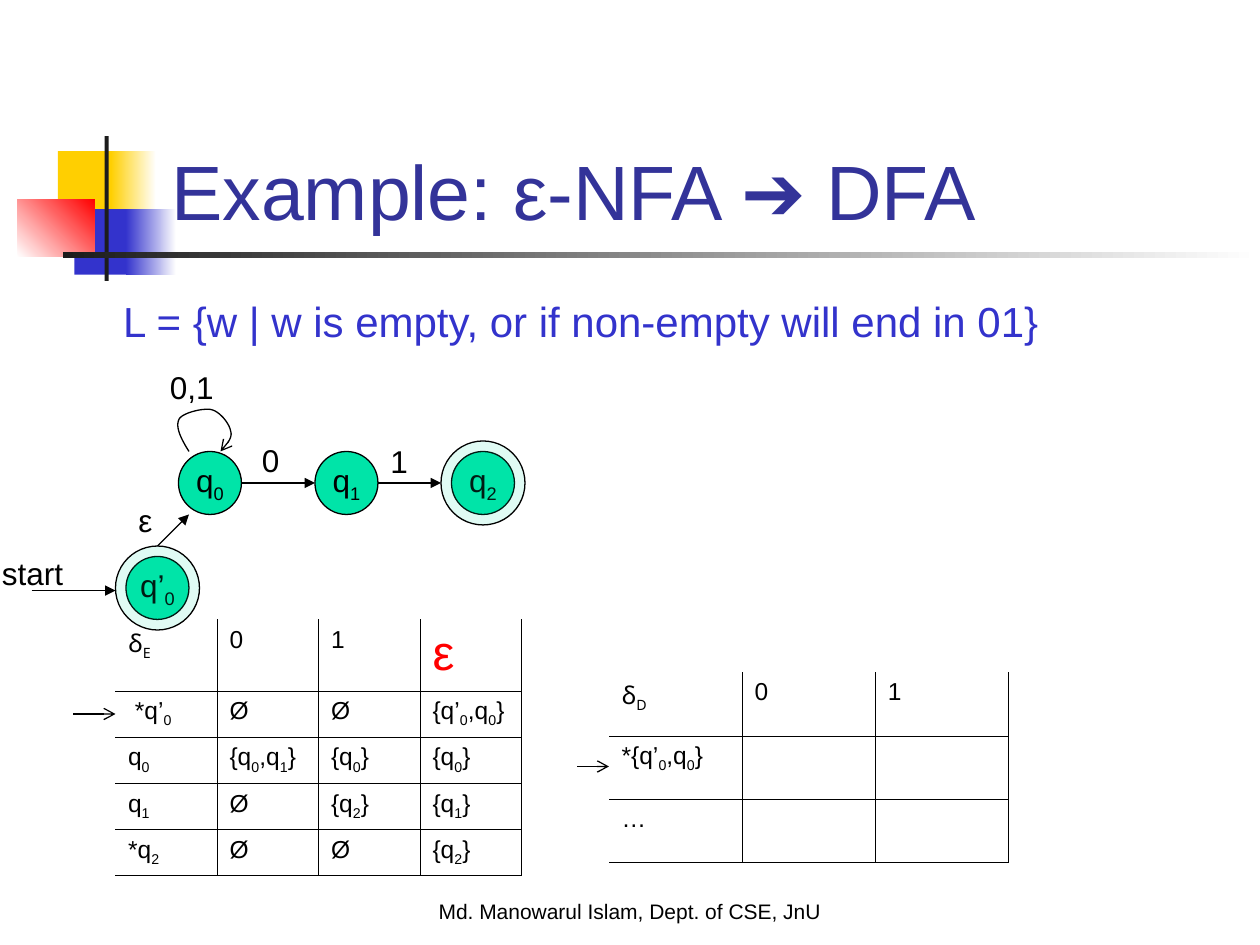
"""Build the slide that turns an ε-NFA into a DFA."""
from dataclasses import dataclass, field

import pptx
import pptx.dml.color
import pptx.enum.shapes
import pptx.enum.text
import pptx.oxml
import pptx.oxml.ns
import pptx.util

COLUMNS, ROWS = 120, 90
SLIDE_WIDTH, SLIDE_HEIGHT = pptx.util.Inches(10), pptx.util.Inches(7.5)
SHAPES = pptx.enum.shapes.MSO_SHAPE
ALIGN = pptx.enum.text.PP_ALIGN
ANCHOR = pptx.enum.text.MSO_ANCHOR


@dataclass(frozen=True)
class Theme:
    font: str = "Arial"
    symbol_font: str = "Noto Sans"
    ink: str = "000000"
    title: str = "333399"
    blue: str = "3333CC"
    yellow: str = "FFCF01"
    red: str = "FF0000"
    dark: str = "1C1C1C"
    white: str = "FFFFFF"
    state: str = "00E4A8"
    title_size: float = 44
    epsilon_size: float = 28
    language_size: float = 24
    label_size: float = 18
    cell_size: float = 14
    footer_size: float = 12
    line: float = 0.75
    thin: float = 0.45
    thick: float = 1.08
    ring_opacity: int = 12


THEME = Theme()


@dataclass(frozen=True)
class Block:
    column: float
    row: float
    width: float
    height: float
    color: str
    fade_to: str = ""
    angle: float = 0


@dataclass(frozen=True)
class State:
    name: str
    column: float
    row: float
    accepting: bool = False


@dataclass(frozen=True)
class Label:
    text: str
    column: float
    row: float
    width: float
    height: float = 4.8
    size: float = THEME.label_size
    color: str = THEME.ink
    align: ALIGN = ALIGN.LEFT


@dataclass(frozen=True)
class Arrow:
    start: tuple[float, float]
    end: tuple[float, float]
    head: str = "triangle"


@dataclass(frozen=True)
class Transitions:
    column: float
    row: float
    column_width: float
    row_heights: list[float]
    cells: list[list[str]]
    bottom_line: float
    indents: dict[tuple[int, int], float] = field(default_factory=dict)


BLOCKS = [
    Block(5.52, 14.4, 5.76, 6.24, THEME.yellow),
    Block(10.56, 14.4, 4.32, 6.24, THEME.yellow, THEME.white),
    Block(7.08, 19.92, 5.52, 6.24, THEME.blue),
    Block(12, 19.92, 4.8, 6.24, THEME.blue, THEME.white),
    Block(1.68, 18.96, 7.32, 5.52, THEME.white, THEME.red, 45),
    Block(9.96, 12.96, 0.4, 13.8, THEME.dark),
    Block(6, 24, 114, 0.6, THEME.dark, THEME.white),
]
STATES = [State("q_0", 17, 43), State("q_1", 30, 43), State("q_2", 43, 43, True), State("q’_0", 12, 53, True)]
LABELS = [
    Label("Md. Manowarul Islam, Dept. of CSE, JnU", 0, 84.96, 120, 6, THEME.footer_size, align=ALIGN.CENTER),
    Label("L = {w | w is empty, or if non-empty will end in 01}", 10.56, 27.6, 90, 6, THEME.language_size, THEME.blue),
    Label("start", -1, 52.2, 9),
    Label("0", 23.76, 41.4, 4.08),
    Label("0,1", 15, 34.44, 6.6),
    Label("1", 36, 41.52, 4.08),
    Label("ε", 12, 47.16, 3.72),
]
ARROWS = [
    Arrow((3, 56.25), (11, 56.25)),
    Arrow((23, 46), (30, 46)),
    Arrow((36, 46), (42, 46)),
    Arrow((15, 52), (18, 49)),
    Arrow((7, 68), (11, 68), "arrow"),
    Arrow((55, 73), (58, 73), "arrow"),
]
LOOP = [(18, 43), (17.28, 41.88), (16.68, 40.68), (17.04, 39.96), (17.28, 39.36), (19.2, 38.88),
        (20.04, 39), (20.88, 39.12), (21.84, 40.32), (21.96, 41.04), (22.2, 41.64), (21.6, 42.36), (21, 43)]
TABLES = [
    Transitions(11, 59, 9.67, [6.84, 4.39, 4.39, 4.39, 4.39], [
        ["δ_E", "0", "1", "ε"],
        ["*q’_0", "Ø", "Ø", "{q’_0,q_0}"],
        ["q_0", "{q_0,q_1}", "{q_0}", "{q_0}"],
        ["q_1", "Ø", "{q_2}", "{q_1}"],
        ["*q_2", "Ø", "Ø", "{q_2}"],
    ], THEME.thick, {(1, 0): 1.85}),
    Transitions(58, 64, 12.68, [6.12, 6, 6], [
        ["δ_D", "0", "1"], ["*{q’_0,q_0}", "", ""], ["…", "", ""],
    ], THEME.thin),
]


def across(columns: float) -> int:
    """Turn grid columns into a length."""
    return round(SLIDE_WIDTH * columns / COLUMNS)


def down(rows: float) -> int:
    """Turn grid rows into a length."""
    return round(SLIDE_HEIGHT * rows / ROWS)


def frame(column: float, row: float, width: float, height: float) -> tuple[int, int, int, int]:
    """Turn a grid area into left, top, width and height."""
    return across(column), down(row), across(width), down(height)


def rgb(color: str) -> pptx.dml.color.RGBColor:
    """Turn a hex string into a colour."""
    return pptx.dml.color.RGBColor.from_string(color)


def write(para, text: str, size: float, color: str = THEME.ink, font: str = THEME.font) -> None:
    """Write text run by run, lowering the letter after each underscore."""
    first, *rest = text.split("_")
    pieces = [(first, False)]
    for part in rest:
        pieces += [(part[0], True), (part[1:], False)]
    for piece, lowered in pieces:
        if piece:
            span = para.add_run()
            span.text = piece
            span.font.name, span.font.size = font, pptx.util.Pt(size)
            span.font.color.rgb = rgb(color)
            if lowered:
                span._r.get_or_add_rPr().set("baseline", "-25000")


def outline(shape, head: str = "") -> None:
    """Give a shape or connector the ink line and an optional arrowhead."""
    shape.line.color.rgb, shape.line.width = rgb(THEME.ink), pptx.util.Pt(THEME.line)
    if head:
        line = shape.line._get_or_add_ln()
        line.append(pptx.oxml.parse_xml(f'<a:tailEnd {pptx.oxml.ns.nsdecls("a")} type="{head}"/>'))


def draw_block(slide, block: Block) -> None:
    """Draw one plain or fading decoration block."""
    shape = slide.shapes.add_shape(SHAPES.RECTANGLE, *frame(block.column, block.row, block.width, block.height))
    shape.shadow.inherit = False
    shape.line.fill.background()
    if block.fade_to:
        shape.fill.gradient()
        shape.fill.gradient_angle = block.angle
        for stop, color in zip(shape.fill.gradient_stops, (block.color, block.fade_to)):
            stop.color.rgb = rgb(color)
    else:
        shape.fill.solid()
        shape.fill.fore_color.rgb = rgb(block.color)


def draw_circle(slide, column: float, row: float, size: float):
    """Draw a state-coloured circle and return it."""
    circle = slide.shapes.add_shape(SHAPES.OVAL, *frame(column, row, size, size))
    circle.shadow.inherit = False
    circle.fill.solid()
    circle.fill.fore_color.rgb = rgb(THEME.state)
    outline(circle)
    return circle


def draw_state(slide, state: State) -> None:
    """Draw a state, with a translucent ring if it accepts."""
    box = draw_circle(slide, state.column, state.row, 6).text_frame
    box.word_wrap, box.vertical_anchor = False, ANCHOR.MIDDLE
    box.paragraphs[0].alignment = ALIGN.CENTER
    write(box.paragraphs[0], state.name, THEME.label_size)
    if state.accepting:
        ring = draw_circle(slide, state.column - 1, state.row - 1, 8)
        color = ring.element.spPr.find(pptx.oxml.ns.qn("a:solidFill"))[0]
        color.append(pptx.oxml.parse_xml(
            f'<a:alpha {pptx.oxml.ns.nsdecls("a")} val="{THEME.ring_opacity * 1000}"/>'))


def draw_label(slide, label: Label) -> None:
    """Draw one line of free text."""
    box = slide.shapes.add_textbox(*frame(label.column, label.row, label.width, label.height)).text_frame
    box.word_wrap = label.align == ALIGN.CENTER
    box.auto_size = pptx.enum.text.MSO_AUTO_SIZE.SHAPE_TO_FIT_TEXT
    box.paragraphs[0].alignment = label.align
    write(box.paragraphs[0], label.text, label.size, label.color)


def draw_arrow(slide, arrow: Arrow) -> None:
    """Draw a straight arrow."""
    ends = [turn(value) for point in (arrow.start, arrow.end) for turn, value in zip((across, down), point)]
    connector = slide.shapes.add_connector(pptx.enum.shapes.MSO_CONNECTOR.STRAIGHT, *ends)
    outline(connector, arrow.head)
    connector.element.spPr.append(pptx.oxml.parse_xml(f'<a:effectLst {pptx.oxml.ns.nsdecls("a")}/>'))


def draw_loop(slide, controls: list[tuple[float, float]], steps: int = 12) -> None:
    """Draw a chain of cubic curves as a fine open outline with an arrowhead."""
    points = []
    for first in range(0, len(controls) - 1, 3):
        curve = controls[first:first + 4]
        for step in range(1, steps + 1):
            t = step / steps
            weights = ((1 - t) ** 3, 3 * t * (1 - t) ** 2, 3 * t * t * (1 - t), t ** 3)
            x, y = (sum(w * point[axis] for w, point in zip(weights, curve)) for axis in (0, 1))
            points.append((across(x), down(y)))
    builder = slide.shapes.build_freeform(across(controls[0][0]), down(controls[0][1]))
    builder.add_line_segments(points, close=False)
    loop = builder.convert_to_shape()
    loop.shadow.inherit = False
    loop.fill.background()
    outline(loop, "arrow")


def border_cell(cell, widths: dict[str, float]) -> None:
    """Set the four borders of a cell, hiding those of zero width."""
    for place, (side, width) in enumerate(widths.items()):
        paint = f'<a:solidFill><a:srgbClr val="{THEME.ink}"/></a:solidFill>' if width else "<a:noFill/>"
        cell._tc.get_or_add_tcPr().insert(place, pptx.oxml.parse_xml(
            f'<a:ln{side} {pptx.oxml.ns.nsdecls("a")} w="{pptx.util.Pt(width)}">{paint}</a:ln{side}>'))


def draw_table(slide, data: Transitions) -> None:
    """Draw a transition table open at its left and top."""
    height, width = len(data.cells), len(data.cells[0])
    area = frame(data.column, data.row, data.column_width * width, sum(data.row_heights))
    table = slide.shapes.add_table(height, width, *area).table
    table.first_row = table.horz_banding = False
    for column in table.columns:
        column.width = across(data.column_width)
    for r, texts in enumerate(data.cells):
        table.rows[r].height = down(data.row_heights[r])
        for c, text in enumerate(texts):
            cell = table.cell(r, c)
            cell.fill.background()
            cell.margin_left = across(data.indents.get((r, c), 1.2))
            border_cell(cell, {
                "L": THEME.thin if c else 0,
                "R": THEME.thin,
                "T": THEME.thin if r else 0,
                "B": data.bottom_line if r == height - 1 else THEME.thin,
            })
            para = cell.text_frame.paragraphs[0]
            if text == "ε":
                write(para, text, THEME.epsilon_size, THEME.red)
            else:
                write(para, text, THEME.cell_size, font=THEME.symbol_font if "δ" in text else THEME.font)


def draw_title(slide, text: str) -> None:
    """Place and format the title above the decoration."""
    title = slide.shapes.title
    title.left, title.top, title.width, title.height = frame(15.12, 8.04, 102.24, 15)
    title.text_frame.vertical_anchor = ANCHOR.BOTTOM
    title.text_frame.paragraphs[0].alignment = ALIGN.LEFT
    write(title.text_frame.paragraphs[0], text, THEME.title_size, THEME.title)
    title.element.getparent().append(title.element)


def main() -> None:
    """Build and save the deck."""
    deck = pptx.Presentation()
    deck.slide_width, deck.slide_height = SLIDE_WIDTH, SLIDE_HEIGHT
    slide = deck.slides.add_slide(deck.slide_layouts[5])
    for block in BLOCKS:
        draw_block(slide, block)
    draw_title(slide, "Example: ε-NFA ➔ DFA")
    for draw, items in ((draw_state, STATES), (draw_label, LABELS), (draw_table, TABLES), (draw_arrow, ARROWS)):
        for item in items:
            draw(slide, item)
    draw_loop(slide, LOOP)
    deck.save("out.pptx")


if __name__ == "__main__":
    main()
